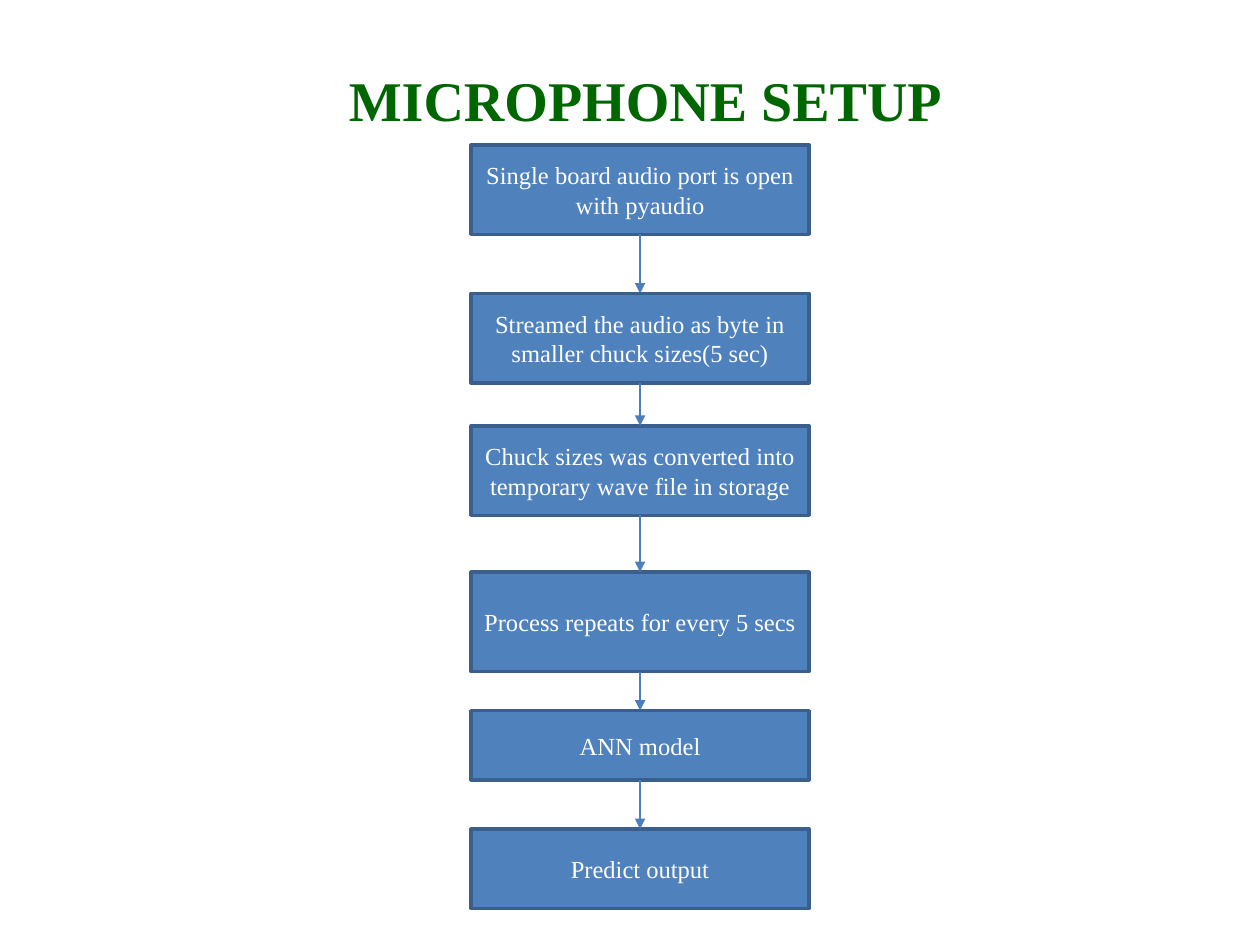
"""Builds the microphone setup flowchart slide."""
from dataclasses import dataclass
from itertools import pairwise

from lxml import etree
from pptx import Presentation
from pptx import util as u
from pptx.dml.color import RGBColor
from pptx.enum import shapes, text
from pptx.oxml.ns import qn

COLORS = {"title": "006600", "box": "4F81BD", "border": "3A5F8C",
          "arrow": "4B7EBC", "label": "FFFFFF"}
FONT = "Times New Roman"
BOX_LEFT, BOX_WIDTH = 3.74, 2.68
CENTER = BOX_LEFT + BOX_WIDTH / 2


@dataclass(frozen=True)
class Step:
    """One box of the flow, with its vertical extent in inches."""
    label: str
    top: float
    height: float

    @property
    def bottom(self) -> float:
        """Lower edge of the box."""
        return self.top + self.height


STEPS = [
    Step("Single board audio port is open with pyaudio", 1.15, 0.71),
    Step("Streamed the audio as byte in smaller chuck sizes(5 sec)", 2.33, 0.71),
    Step("Chuck sizes was converted into temporary wave file in storage", 3.38, 0.71),
    Step("Process repeats for every 5 secs", 4.54, 0.79),
    Step("ANN model", 5.64, 0.55),
    Step("Predict output", 6.58, 0.63),
]


def color(name: str) -> RGBColor:
    """Look up a colour by its role."""
    return RGBColor.from_string(COLORS[name])


def apply(target, values: dict) -> None:
    """Set each attribute of target from a dict."""
    for name, value in values.items():
        setattr(target, name, value)


def add_run(paragraph, words: str, role: str, **font_values) -> None:
    """Append a formatted run to a centred paragraph."""
    paragraph.alignment = text.PP_ALIGN.CENTER
    run = paragraph.add_run()
    run.text = words
    apply(run.font, font_values)
    run.font.color.rgb = color(role)


def set_title(slide) -> None:
    """Place and fill the title placeholder."""
    title = slide.shapes.title
    apply(title, {"left": u.Inches(0.59), "top": u.Inches(0.42),
                  "width": u.Inches(9), "height": u.Inches(0.73)})
    apply(title.text_frame, {"vertical_anchor": text.MSO_ANCHOR.MIDDLE,
                             "word_wrap": True,
                             "auto_size": text.MSO_AUTO_SIZE.NONE})
    paragraph = title.text_frame.paragraphs[0]
    for words, font in ((" ", "DejaVu Sans"), ("MICROPHONE SETUP ", FONT)):
        add_run(paragraph, words, "title", name=font, size=u.Pt(32), bold=True)


def add_step(slide, step: Step) -> None:
    """Draw one labelled box."""
    box = slide.shapes.add_shape(
        shapes.MSO_SHAPE.RECTANGLE, u.Inches(BOX_LEFT), u.Inches(step.top),
        u.Inches(BOX_WIDTH), u.Inches(step.height))
    box.shadow.inherit = False
    box.fill.solid()
    box.fill.fore_color.rgb = color("box")
    box.line.color.rgb = color("border")
    box.line.width = u.Pt(2)
    apply(box.text_frame, {"vertical_anchor": text.MSO_ANCHOR.MIDDLE,
                           "word_wrap": True})
    add_run(box.text_frame.paragraphs[0], step.label, "label",
            name=FONT, size=u.Pt(14))


def add_arrow(slide, upper: Step, lower: Step) -> None:
    """Connect two successive boxes with a downward arrow."""
    arrow = slide.shapes.add_connector(
        shapes.MSO_CONNECTOR.STRAIGHT, u.Inches(CENTER), u.Inches(upper.bottom),
        u.Inches(CENTER), u.Inches(lower.top))
    arrow.line.color.rgb = color("arrow")
    arrow.line.width = u.Pt(0.75)
    etree.SubElement(arrow.line._get_or_add_ln(), qn("a:tailEnd"), type="triangle")
    etree.SubElement(arrow._element.spPr, qn("a:effectLst"))


def main() -> None:
    """Build and save the slide."""
    presentation = Presentation()
    apply(presentation, {"slide_width": u.Inches(10), "slide_height": u.Inches(7.5)})
    slide = presentation.slides.add_slide(
        presentation.slide_layouts.get_by_name("Title Only"))
    set_title(slide)
    for step in STEPS:
        add_step(slide, step)
    for upper, lower in pairwise(STEPS):
        add_arrow(slide, upper, lower)
    presentation.save("out.pptx")


main()
